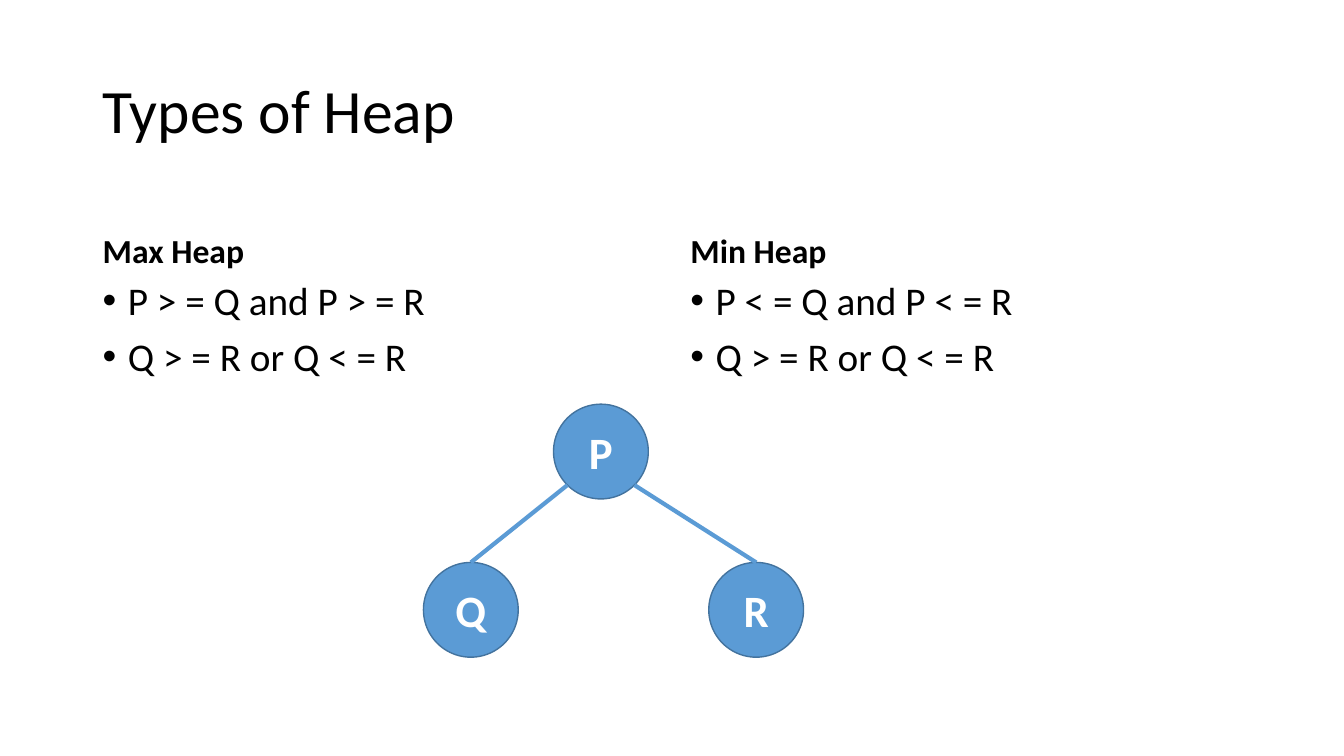
import math

import pptx
import pptx.dml.color
import pptx.enum.shapes
import pptx.enum.text
import pptx.oxml
import pptx.oxml.ns
import pptx.util

Inches = pptx.util.Inches
Pt = pptx.util.Pt
Anchor = pptx.enum.text.MSO_ANCHOR

BLACK, WHITE = "000000", "FFFFFF"
NODE_FILL, NODE_LINE = "5B9BD5", "43739E"
NODE_SIZE = 0.94


def color(value):
    """Turn a hex string into a colour."""
    return pptx.dml.color.RGBColor.from_string(value)


def style_font(font, size, value, bold=False):
    """Set the face, size, colour and weight of a font."""
    font.name = "Calibri"
    font.size = Pt(size)
    font.bold = bold
    font.color.rgb = color(value)


def add_bullet(para):
    """Give a paragraph a round bullet with a hanging indent."""
    properties = para._p.get_or_add_pPr()
    properties.set("marL", str(Inches(0.25)))
    properties.set("indent", str(Inches(-0.25)))
    for tag, name, value in (("a:buFont", "typeface", "Arial"), ("a:buChar", "char", "•")):
        bullet = pptx.oxml.parse_xml(f"<{tag} {pptx.oxml.ns.nsdecls('a')} {name}='{value}'/>")
        properties.append(bullet)


def add_text(page, left, top, width, height, lines, size, anchor, bold=False, bulleted=False):
    """Place a box with one paragraph for each line."""
    box = page.shapes.add_textbox(Inches(left), Inches(top), Inches(width), Inches(height))
    frame = box.text_frame
    frame.word_wrap = True
    frame.vertical_anchor = anchor
    frame.text = "\n".join(lines)
    for index, para in enumerate(frame.paragraphs):
        para.line_spacing = 0.9
        if index:
            para.space_before = Pt(10)
        if bulleted:
            add_bullet(para)
        for span in para.runs:
            style_font(span.font, size, BLACK, bold)


def add_column(page, left, top, width, heading, rules):
    """Place a heading above its bulleted rules."""
    heading_height = 0.9
    add_text(page, left, top, width, heading_height, [heading], 24, Anchor.BOTTOM, bold=True)
    add_text(page, left, top + heading_height, width, 4.03, rules, 28, Anchor.TOP, bulleted=True)


def add_node(tree, left, top, label):
    """Place a labelled circle in the tree."""
    node = tree.shapes.add_shape(
        pptx.enum.shapes.MSO_SHAPE.OVAL,
        Inches(left), Inches(top), Inches(NODE_SIZE), Inches(NODE_SIZE))
    node.shadow.inherit = False
    node.fill.solid()
    node.fill.fore_color.rgb = color(NODE_FILL)
    node.line.color.rgb = color(NODE_LINE)
    node.line.width = Pt(1)
    node.text_frame.text = label
    node.text_frame.vertical_anchor = Anchor.MIDDLE
    para = node.text_frame.paragraphs[0]
    para.alignment = pptx.enum.text.PP_ALIGN.CENTER
    style_font(para.runs[0].font, 32, WHITE, bold=True)
    return node


def add_branch(tree, start_x, start_y, child):
    """Draw a line from a point on the parent to the top of a child."""
    branch = tree.shapes.add_connector(
        pptx.enum.shapes.MSO_CONNECTOR.STRAIGHT,
        Inches(start_x), Inches(start_y), child.left + child.width // 2, child.top)
    branch.end_connect(child, 0)
    branch.line.color.rgb = color(NODE_FILL)
    branch.line.width = Pt(3)
    effects = pptx.oxml.parse_xml(f"<a:effectLst {pptx.oxml.ns.nsdecls('a')}/>")
    branch._element.spPr.append(effects)


def add_tree(page, left, top):
    """Place a parent with two children in one group."""
    tree = page.shapes.add_group_shape()
    parent_left, child_top = left + 1.29, top + 1.57
    add_node(tree, parent_left, top, "P")
    children = [add_node(tree, left, child_top, "Q"),
                add_node(tree, left + 2.83, child_top, "R")]
    radius = NODE_SIZE / 2
    diagonal = radius * math.sqrt(0.5)
    for side, child in zip((-1, 1), children):
        add_branch(tree, parent_left + radius + side * diagonal, top + radius + diagonal, child)


def add_heap_slide(deck):
    """Build the slide that compares the two heap types."""
    page = deck.slides.add_slide(deck.slide_layouts[6])
    add_text(page, 0.92, 0.4, 11.5, 1.45, ["Types of Heap"], 44, Anchor.MIDDLE)
    columns = (
        (0.92, 5.64, "Max Heap", "P > = Q and P > = R"),
        (6.75, 5.67, "Min Heap", "P < = Q and P < = R"),
    )
    for left, width, heading, parent_rule in columns:
        add_column(page, left, 1.84, width, heading, [parent_rule, "Q > = R or Q < = R"])
    add_tree(page, 4.2, 4.01)


def main():
    """Create and save the deck."""
    deck = pptx.Presentation()
    deck.slide_width, deck.slide_height = Inches(13.33), Inches(7.5)
    add_heap_slide(deck)
    deck.save("out.pptx")


if __name__ == "__main__":
    main()
